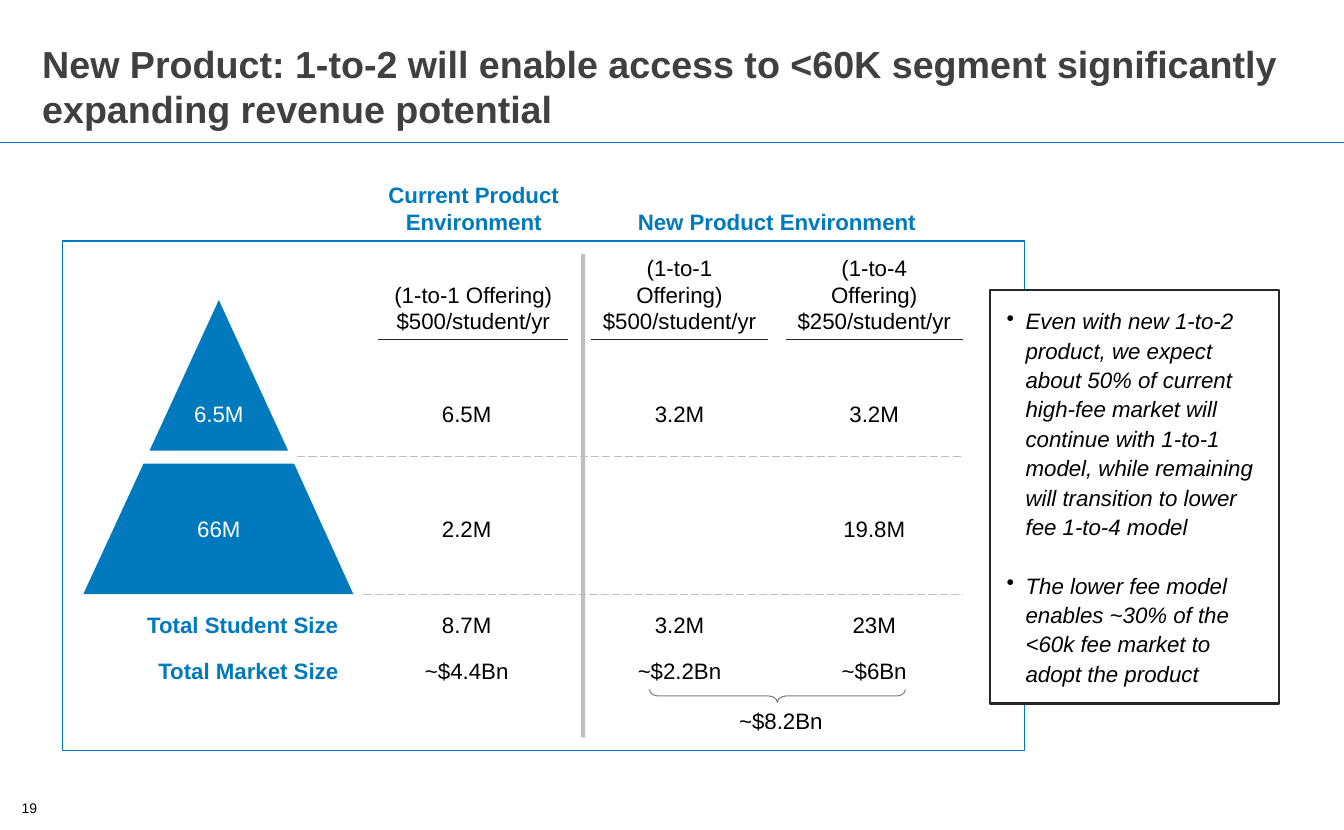
from lxml import etree
from pptx import Presentation
from pptx.dml.color import RGBColor
from pptx.enum.dml import MSO_LINE
from pptx.enum.shapes import MSO_CONNECTOR, MSO_SHAPE
from pptx.enum.text import MSO_ANCHOR, PP_ALIGN
from pptx.oxml.ns import qn
from pptx.util import Inches, Pt

LEFT, MID, RIGHT = PP_ALIGN.LEFT, PP_ALIGN.CENTER, PP_ALIGN.RIGHT
TOP, CENTER, BOTTOM = MSO_ANCHOR.TOP, MSO_ANCHOR.MIDDLE, MSO_ANCHOR.BOTTOM
RECT, BRACE = MSO_SHAPE.RECTANGLE, MSO_SHAPE.RIGHT_BRACE
DASH = MSO_LINE.LONG_DASH
BLUE, GREY, DARK, WHITE, BLACK = "007ABC", "BFBFBF", "262626", "FFFFFF", "000000"

# Content
TITLE = ("New Product: 1-to-2 will enable access to <60K segment "
         "significantly expanding revenue potential")
GROUPS = [("Current Product Environment", 3.77, 1.9),
          ("New Product Environment", 5.89, 3.7)]
# left, width, center of values, offer, price, values by row
COLS = [
    (3.77, 1.89, 4.65, "(1-to-1 Offering)", "$500/student/yr",
     ["6.5M", "2.2M", "8.7M", "~$4.4Bn"]),
    (5.89, 1.76, 6.77, "(1-to-1 Offering)", "$500/student/yr",
     ["3.2M", "", "3.2M", "~$2.2Bn"]),
    (7.83, 1.76, 8.71, "(1-to-4 Offering)", "$250/student/yr",
     ["3.2M", "19.8M", "23M", "~$6Bn"]),
]
ROWS = [3.94, 5.08, 6.04, 6.5]
TOTALS = ["Total Student Size", "Total Market Size"]
TIERS = [("6.5M", [(2.18, 2.99), (2.87, 4.49), (1.49, 4.49)]),
         ("66M", [(1.43, 4.62), (2.93, 4.62), (3.52, 5.92), (0.83, 5.92)])]
SPLITS = [(2.96, 4.55), (3.62, 5.92)]
NOTES = [
    "Even with new 1-to-2 product, we expect about 50% of current high-fee "
    "market will continue with 1-to-1 model, while remaining will transition "
    "to lower fee 1-to-4 model",
    "The lower fee model enables ~30% of the <60k fee market to adopt the product",
]
RIM, APEX, LINE_H = 9.59, 2.18, 0.37

prs = Presentation()
prs.slide_width, prs.slide_height = Inches(13.39), Inches(8.27)
slide = prs.slides.add_slide(prs.slide_layouts[5])
shapes = slide.shapes


def rgb(code):
    return RGBColor.from_string(code)


def style(font, color=BLACK, **more):
    form = {"name": "Arial", "size": Pt(16), "bold": False, **more}
    for key, val in form.items():
        setattr(font, key, val)
    font.color.rgb = rgb(color)


def fill_text(box, lines, align=MID, anchor=TOP, pad=(0.1, 0.05, 0.1, 0.05),
              wrap=True, **form):
    frame = box.text_frame
    frame.word_wrap, frame.vertical_anchor = wrap, anchor
    for side, gap in zip(("left", "top", "right", "bottom"), pad):
        setattr(frame, "margin_" + side, Inches(gap))
    frame.text = "\n".join(lines)
    for para in frame.paragraphs:
        para.alignment = align
        style(para.font, **form)
    return frame


def text(x, y, w, h, lines, **form):
    box = shapes.add_textbox(*map(Inches, (x, y, w, h)))
    return fill_text(box, lines, **form)


def paint(shape, fill=None, edge=None, width=1):
    shape.shadow.inherit = False
    if fill:
        shape.fill.solid()
        shape.fill.fore_color.rgb = rgb(fill)
    else:
        shape.fill.background()
    if edge:
        shape.line.color.rgb = rgb(edge)
        shape.line.width = Pt(width)
    else:
        shape.line.fill.background()


def block(kind, x, y, w, h, **look):
    shape = shapes.add_shape(kind, *map(Inches, (x, y, w, h)))
    paint(shape, **look)
    return shape


def rule(x, y, end, color, dash=None):
    line = shapes.add_connector(MSO_CONNECTOR.STRAIGHT,
                                *map(Inches, (x, y, end, y)))
    line.line.color.rgb = rgb(color)
    line.line.width = Pt(0.75)
    if dash:
        line.line.dash_style = dash
    etree.SubElement(line._element.spPr, qn("a:effectLst"))


# Title and its rule
title = shapes.title
title.left, title.top, title.width, title.height = map(
    Inches, (0.42, 0.4, 12.71, 0.91))
fill_text(title, [TITLE], align=LEFT, anchor=BOTTOM, pad=(0, 0, 0, 0),
          color="404040", size=Pt(27), bold=True)
rule(0, 1.42, 13.39, BLUE)

# Frames
block(RECT, 0.62, 2.4, 9.59, 5.08, fill=WHITE, edge=BLUE)
block(RECT, 9.86, 2.89, 2.88, 4.12, fill=WHITE, edge=DARK, width=1.5)

# Pyramid
for (label, pts), y in zip(TIERS, ROWS):
    pts = [(Inches(px), Inches(py)) for px, py in pts]
    path = shapes.build_freeform(*pts[0])
    path.add_line_segments(pts[1:], close=True)
    paint(path.convert_to_shape(), fill=BLUE)
    text(APEX - 0.5, y, 1, LINE_H, [label], color=WHITE, wrap=False)

# Row splits and divider
for x, y in SPLITS:
    rule(x, y, RIM, GREY, DASH)
block(RECT, 5.79, 2.53, 0.04, 4.82, fill=GREY)

# Column heads and values
for label, x, w in GROUPS:
    text(x, 1.78, w, 0.61, [label], anchor=BOTTOM, pad=(0, 0.05, 0, 0.05),
         color=BLUE, bold=True)
for x, w, mid, offer, price, vals in COLS:
    text(x, 2.47, w, 0.91, [offer, price], anchor=BOTTOM)
    rule(x, 3.38, x + w, DARK)
    for val, y in zip(vals, ROWS):
        if val:
            text(mid - 0.6, y, 1.2, LINE_H, [val], wrap=False)

# Totals
for label, y in zip(TOTALS, ROWS[2:]):
    text(1.32, y, 2.15, LINE_H, [label], align=RIGHT, wrap=False,
         color=BLUE, bold=True)
brace = block(BRACE, 7.68, 5.66, 0.13, 2.55, edge="808080", width=0.75)
brace.rotation = 90
brace.adjustments[0] = 0.65
text(7.18, 7, 1.2, LINE_H, ["~$8.2Bn"], wrap=False)

# Notes
notes = text(9.93, 2.93, 2.73, 4.02, NOTES, align=LEFT, anchor=CENTER, italic=True)
for i, para in enumerate(notes.paragraphs):
    para.line_spacing = 1.1
    if i:
        para.space_before = Pt(21)
    props = para._p.get_or_add_pPr()
    props.set("marL", str(Inches(0.19)))
    props.set("indent", str(-Inches(0.19)))
    mark = etree.Element(qn("a:buChar"), char="•")
    props.find(qn("a:defRPr")).addprevious(mark)

# Page number
text(0.14, 7.98, 0.26, 0.15, ["19"], align=RIGHT, anchor=BOTTOM,
     pad=(0, 0, 0.03, 0), size=Pt(10))

prs.save("out.pptx")
